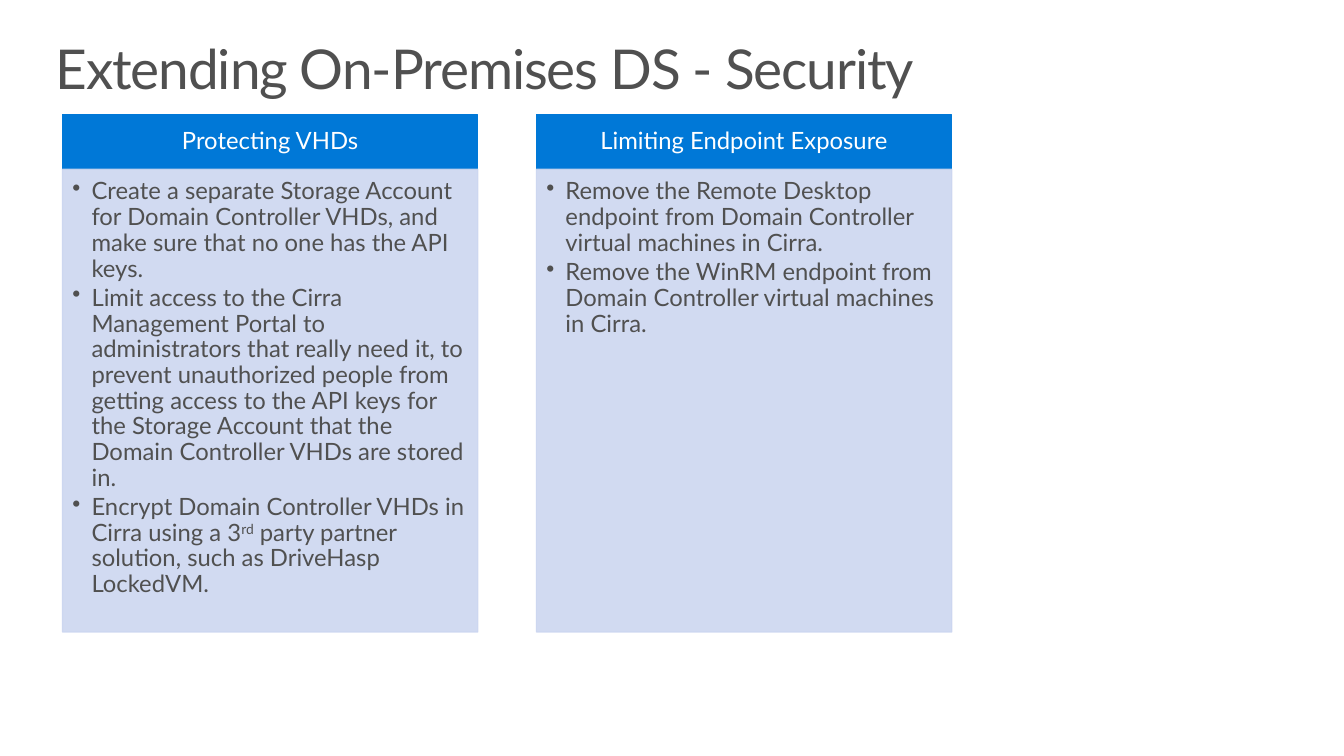
from pptx import Presentation, util as u
from pptx.dml.color import RGBColor
from pptx.enum import shapes, text
from pptx.oxml import ns
from lxml import etree

BLUE = RGBColor(0x00, 0x78, 0xD7)
PALE = RGBColor(0xCC, 0xD6, 0xF0)
GREY = RGBColor(0x50, 0x50, 0x50)
WHITE = RGBColor(0xFF, 0xFF, 0xFF)

LEFT, WIDTH, PITCH = 4.65, 30.91, 35.26
TOP, HEADING_HEIGHT, BODY_HEIGHT = 15.2, 7.2, 61.2

PANELS = [
    ("Protecting VHDs", [
        [("Create a separate Storage Account for Domain Controller VHDs, and make "
          "sure that no one has the API keys.", {})],
        [("Limit access to the Cirra Management Portal to administrators that really "
          "need it, to prevent unauthorized people from getting access to the API keys "
          "for the Storage Account that the Domain Controller VHDs are stored in.", {})],
        [("Encrypt Domain Controller VHDs in Cirra using a 3", {}),
         ("rd", {"baseline": "30000"}),
         (" party partner solution, such as DriveHasp LockedVM.", {})],
    ]),
    ("Limiting Endpoint Exposure", [
        [("Remove the Remote Desktop endpoint from Domain Controller virtual "
          "machines in Cirra.", {})],
        [("Remove the WinRM endpoint from Domain Controller virtual machines "
          "in Cirra.", {})],
    ]),
]


class SecuritySlide:
    font = "Lato"
    panel_size = 17

    def __init__(self, deck):
        self.deck = deck
        self.slide = deck.slides.add_slide(deck.slide_layouts[6])

    def area(self, left, top, width, height):
        across, down = self.deck.slide_width / 100, self.deck.slide_height / 100
        return [round(share * unit) for share, unit in
                zip((left, top, width, height), (across, down, across, down))]

    def inset(self, frame, left, top, right, bottom):
        frame.word_wrap = True
        frame.margin_left, frame.margin_top = u.Inches(left), u.Inches(top)
        frame.margin_right, frame.margin_bottom = u.Inches(right), u.Inches(bottom)

    def add_runs(self, paragraph, runs, size, color):
        paragraph.line_spacing = 0.9
        for words, attributes in runs:
            run = paragraph.add_run()
            run.text = words
            run.font.name = self.font
            run.font.size = u.Pt(size)
            run.font.color.rgb = color
            for key, value in attributes.items():
                run.font._element.set(key, value)

    def title(self, words):
        box = self.slide.shapes.add_textbox(*self.area(2.93, 4.27, 94.15, 13.07))
        self.inset(box.text_frame, 0.16, 0.1, 0.16, 0.1)
        self.add_runs(box.text_frame.paragraphs[0], [(words, {"spc": "-80"})], 39.2, GREY)

    def block(self, area, color, opacity=100):
        block = self.slide.shapes.add_shape(shapes.MSO_SHAPE.RECTANGLE, *self.area(*area))
        block.shadow.inherit = False
        block.fill.solid()
        block.fill.fore_color.rgb = color
        block.line.color.rgb = color
        block.line.width = u.Pt(0.85)
        if opacity < 100:
            for tint in block._element.spPr.iter(ns.qn("a:srgbClr")):
                etree.SubElement(tint, ns.qn("a:alpha"), val=str(opacity * 1000))
        return block.text_frame

    def heading(self, column, words):
        frame = self.block((LEFT + column * PITCH, TOP, WIDTH, HEADING_HEIGHT), BLUE)
        self.inset(frame, 0.13, 0.08, 0.13, 0.08)
        frame.vertical_anchor = text.MSO_ANCHOR.MIDDLE
        frame.paragraphs[0].alignment = text.PP_ALIGN.CENTER
        self.add_runs(frame.paragraphs[0], [(words, {})], self.panel_size, WHITE)

    def body(self, column, points):
        frame = self.block((LEFT + column * PITCH, TOP + HEADING_HEIGHT,
                            WIDTH, BODY_HEIGHT), PALE, 90)
        self.inset(frame, 0.1, 0.1, 0.13, 0.15)
        frame.vertical_anchor = text.MSO_ANCHOR.TOP
        for index, runs in enumerate(points):
            point = frame.add_paragraph() if index else frame.paragraphs[0]
            self.bullet(point)
            self.add_runs(point, runs, self.panel_size, GREY)

    def bullet(self, point):
        point.alignment = text.PP_ALIGN.LEFT
        point.level = 1
        point.space_after = u.Pt(2.5)
        properties = point._p.get_or_add_pPr()
        properties.set("marL", str(u.Inches(0.19)))
        properties.set("indent", str(u.Inches(-0.19)))
        etree.SubElement(properties, ns.qn("a:buChar"), char="•")


def main():
    deck = Presentation()
    deck.slide_width, deck.slide_height = u.Inches(13.33), u.Inches(7.5)
    security = SecuritySlide(deck)
    security.title("Extending On-Premises DS - Security")
    for column, (heading, points) in enumerate(PANELS):
        security.heading(column, heading)
        security.body(column, points)
    deck.save("out.pptx")


if __name__ == "__main__":
    main()
